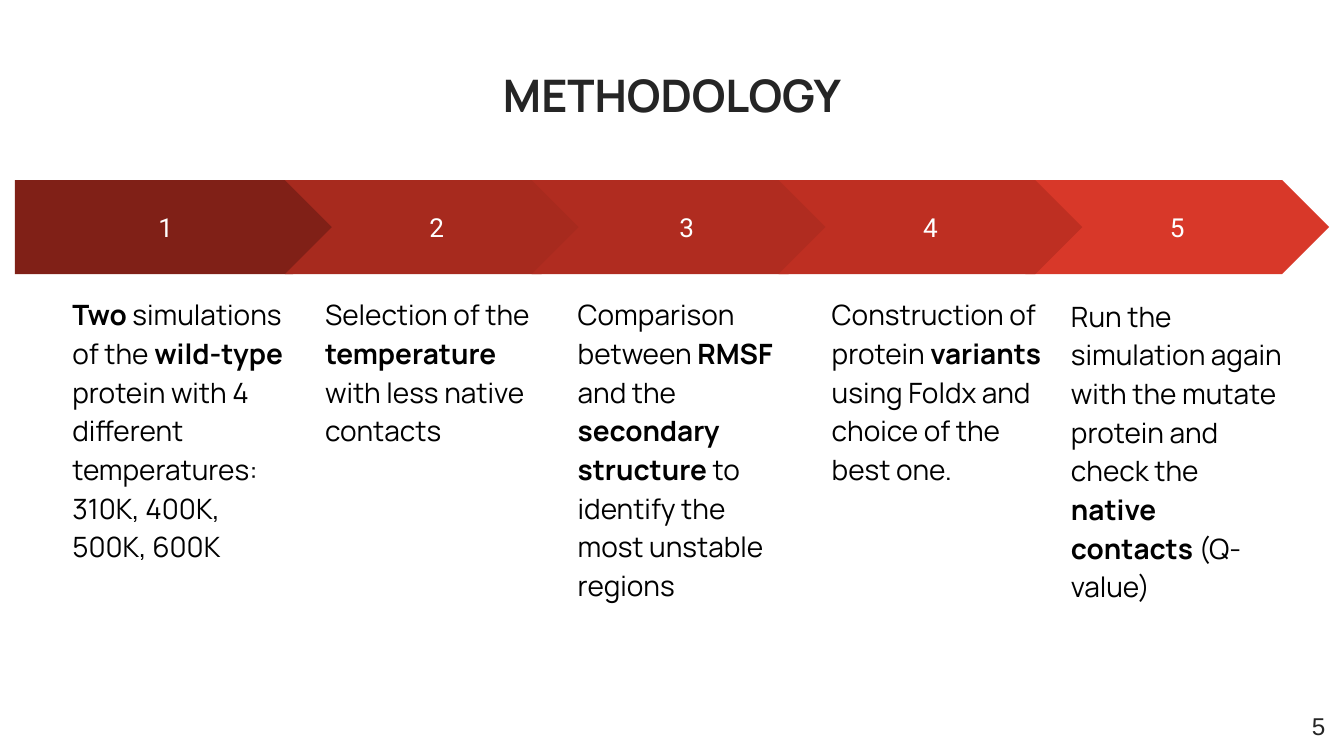
from dataclasses import dataclass

from pptx import Presentation
from pptx.dml.color import RGBColor
from pptx.enum.shapes import MSO_SHAPE
from pptx.enum.text import MSO_ANCHOR, MSO_AUTO_SIZE, PP_ALIGN
from pptx.util import Inches, Pt

PENTAGON, CHEVRON = MSO_SHAPE.PENTAGON, MSO_SHAPE.CHEVRON
TOP, MIDDLE = MSO_ANCHOR.TOP, MSO_ANCHOR.MIDDLE
LEFT, CENTER, RIGHT = PP_ALIGN.LEFT, PP_ALIGN.CENTER, PP_ALIGN.RIGHT
NO_FIT = MSO_AUTO_SIZE.NONE
TITLE_ONLY = 5


@dataclass(frozen=True)
class Theme:
    heading: str = "252525"
    body: str = "000000"
    light: str = "FFFFFF"
    title_size: int = 24
    body_size: int = 15
    number_size: int = 14
    page_size: int = 13
    main_font: str = "Manrope"
    number_font: str = "Roboto"
    page_font: str = "Arial"


@dataclass(frozen=True)
class Step:
    number: int
    color: str
    text_left: float
    text: str
    text_top: float = 2.08
    text_height: float = 2.45


THEME = Theme()
SLIDE_WIDTH = Inches(10)
SLIDE_HEIGHT = SLIDE_WIDTH * 9 // 16
BAND_LEFT, BAND_TOP, BAND_HEIGHT = 0.11, 1.34, 0.7
FIRST_WIDTH, CHEVRON_WIDTH = 2.42, 2.26
CHEVRON_LEFT, LAST_LEFT = 2.12, 7.63
CHEVRON_PITCH = (LAST_LEFT - CHEVRON_LEFT) / 3
TEXT_WIDTH = 1.78

STEPS = [
    Step(1, "802017", 0.44,
         "**Two **simulations of the **wild-type** protein with 4 different "
         "temperatures: 310K, 400K, 500K, 600K"),
    Step(2, "A72A1E", 2.32,
         "Selection of the **temperature **with less native contacts"),
    Step(3, "B02C20", 4.2,
         "Comparison between **RMSF **and the **secondary structure** to "
         "identify the most unstable regions"),
    Step(5, "D83829", 7.87,
         "Run the simulation again with the mutate protein and check the "
         "**native contacts** (Q-value)", 2.09, 3.1),
    Step(4, "BE2F22", 6.09,
         "Construction of protein **variants **using Foldx and choice of the "
         "best one."),
]


def set_values(target, values):
    for name, value in values.items():
        setattr(target, name, value)


def write_text(shape, text, font, size, color, align=LEFT, anchor=TOP,
               bold=False, line_spacing=1.0):
    frame = shape.text_frame
    inset = Inches(0.1)
    set_values(frame, {
        "word_wrap": True, "auto_size": NO_FIT, "vertical_anchor": anchor,
        "margin_left": inset, "margin_right": inset,
        "margin_top": inset, "margin_bottom": inset,
    })
    para = frame.paragraphs[0]
    set_values(para, {"alignment": align, "line_spacing": line_spacing})
    for index, part in enumerate(text.split("**")):
        if part:
            span = para.add_run()
            span.text = part
            set_values(span.font, {"name": font, "size": Pt(size),
                                   "bold": bold or index % 2 == 1})
            span.font.color.rgb = RGBColor.from_string(color)


def add_title(page, text):
    title = page.shapes.title
    set_values(title, {"left": Inches(0.83), "top": Inches(0.39),
                       "width": Inches(8.34), "height": Inches(0.63)})
    write_text(title, text, THEME.main_font, THEME.title_size, THEME.heading,
               CENTER, MIDDLE, bold=True)


def add_text(page, left, top, width, height, text, **style):
    box = page.shapes.add_textbox(Inches(left), Inches(top),
                                  Inches(width), Inches(height))
    write_text(box, text, **style)


def add_arrow(page, step):
    if step.number == 1:
        kind, left, width = PENTAGON, BAND_LEFT, FIRST_WIDTH
    else:
        kind, width = CHEVRON, CHEVRON_WIDTH
        left = CHEVRON_LEFT + (step.number - 2) * CHEVRON_PITCH
    arrow = page.shapes.add_shape(kind, Inches(left), Inches(BAND_TOP),
                                  Inches(width), Inches(BAND_HEIGHT))
    arrow.shadow.inherit = False
    arrow.fill.solid()
    arrow.fill.fore_color.rgb = RGBColor.from_string(step.color)
    arrow.line.fill.background()
    label = " 3" if step.number == 3 else str(step.number)
    write_text(arrow, label, THEME.number_font, THEME.number_size,
               THEME.light, CENTER, MIDDLE)


def add_step(page, step):
    add_arrow(page, step)
    add_text(page, step.text_left, step.text_top, TEXT_WIDTH,
             step.text_height, step.text, font=THEME.main_font,
             size=THEME.body_size, color=THEME.body, line_spacing=1.15)


def main():
    deck = Presentation()
    set_values(deck, {"slide_width": SLIDE_WIDTH,
                      "slide_height": SLIDE_HEIGHT})
    page = deck.slides.add_slide(deck.slide_layouts[TITLE_ONLY])
    add_title(page, "METHODOLOGY")
    add_text(page, 9.36, 5.19, 0.6, 0.43, "5", font=THEME.page_font,
             size=THEME.page_size, color=THEME.heading, align=RIGHT)
    for step in STEPS:
        add_step(page, step)
    deck.save("out.pptx")


if __name__ == "__main__":
    main()
